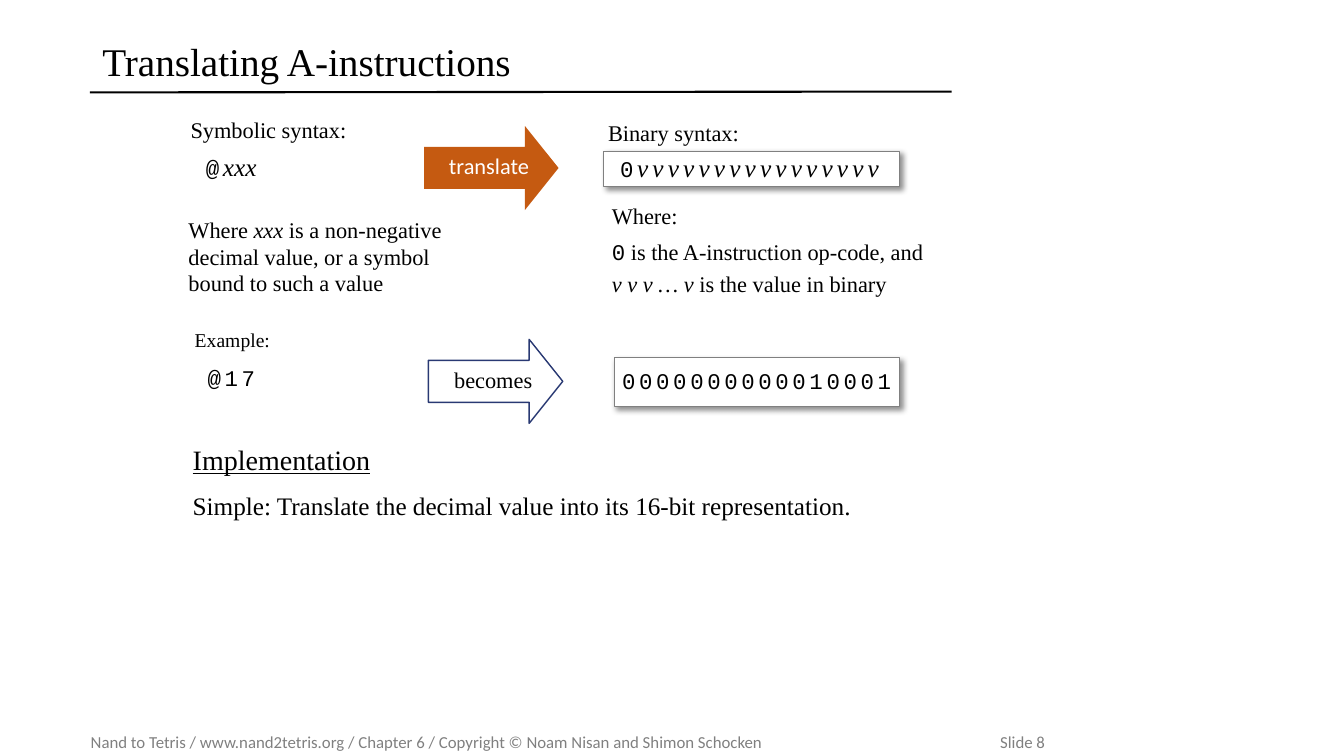
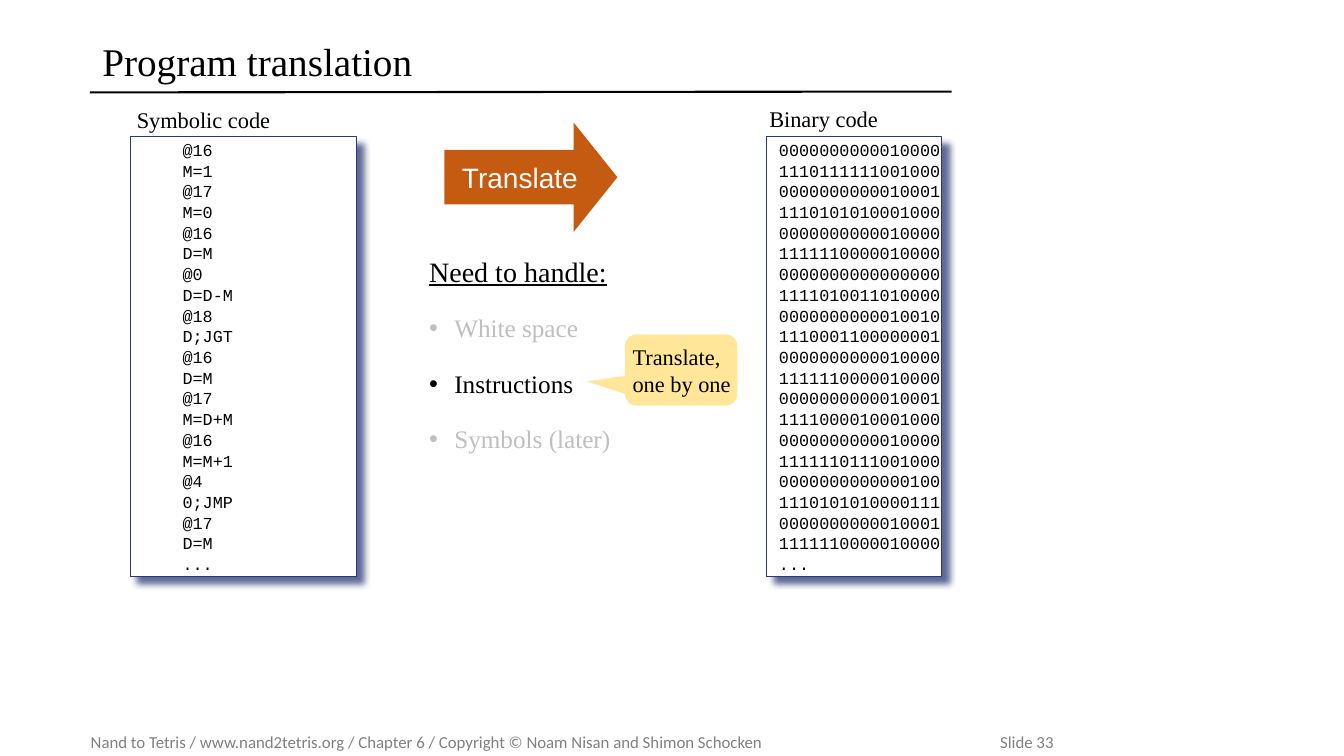
from lxml import etree
from pptx import Presentation
from pptx.dml.color import RGBColor
from pptx.enum.shapes import MSO_CONNECTOR, MSO_SHAPE
from pptx.enum.text import MSO_ANCHOR, PP_ALIGN
from pptx.oxml.ns import qn
from pptx.util import Emu, Inches, Pt

RECT = MSO_SHAPE.RECTANGLE
ARROW = MSO_SHAPE.RIGHT_ARROW
CALLOUT = MSO_SHAPE.ROUNDED_RECTANGULAR_CALLOUT
STRAIGHT = MSO_CONNECTOR.STRAIGHT
TOP, MIDDLE = MSO_ANCHOR.TOP, MSO_ANCHOR.MIDDLE
LEFT, CENTER = PP_ALIGN.LEFT, PP_ALIGN.CENTER

COLUMNS, ROWS = 160, 90
COLORS = {
    "ink": "000000", "paper": "FFFFFF", "footer": "808080", "frame": "808080",
    "faded": "BFBFBF", "action": "C55A11", "navy": "293973", "note": "FFE699",
}
SERIF, MONO, SANS, ARIAL = "Times New Roman", "Courier New", "Calibri", "Arial"
BODY = {"name": SERIF, "size": Pt(16), "color": "ink"}
TITLE = {**BODY, "size": Pt(28)}
HEADING = {**BODY, "size": Pt(20), "underline": True}
LARGE = {**BODY, "size": Pt(18)}
SMALL = {**BODY, "size": Pt(14)}
FOOTER = {"name": SANS, "size": Pt(12), "color": "footer"}
CODE = {"name": MONO, "size": Pt(12), "color": "ink"}
BITS = {"name": MONO, "size": Pt(16), "color": "ink", "spacing": 2.6}
ITALIC = {"italic": True}
VARIABLE = {"name": SERIF, "size": Pt(18), "italic": True}
ACTION = {"name": SANS, "size": Pt(16), "color": "paper"}

TIGHT = {"line_spacing": 0.9}
ARROW_LINE = {"line_spacing": Pt(16.2), "alignment": CENTER}
LISTING = {"line_spacing": 0.9, "space_before": Pt(1.85)}
INSET = (0.1, 0.05, 0.1, 0.05)
WIDE_INSET = (0.12, 0.05, 0.1, 0.05)
ARROW_INSET = (0.12, 0.05, 0, 0.05)
CELL_INSET = (0.16, 0.1, 0, 0.1)
SOFT_SHADOW = ("ink", 43, 4, 3)
DEEP_SHADOW = ("navy", 75, 5, 7.1)

CREDIT = ("Nand to Tetris / www.nand2tetris.org / Chapter 6 / "
          "Copyright © Noam Nisan and Shimon Schocken")

SYMBOLIC = """@16 M=1 @17 M=0 @16 D=M @0 D=D-M @18 D;JGT @16 D=M @17 M=D+M
@16 M=M+1 @4 0;JMP @17 D=M ...""".split()
BINARY = """0000000000010000 1110111111001000 0000000000010001 1110101010001000
0000000000010000 1111110000010000 0000000000000000 1111010011010000
0000000000010010 1110001100000001 0000000000010000 1111110000010000
0000000000010001 1111000010001000 0000000000010000 1111110111001000
0000000000000100 1110101010000111 0000000000010001 1111110000010000 ...""".split()


def rgb(color):
    return RGBColor.from_string(COLORS[color])


def apply(target, values):
    for name, value in values.items():
        setattr(target, name, value)


class Deck:
    def __init__(self):
        self.prs = Presentation()
        self.prs.slide_width, self.prs.slide_height = Inches(13.33), Inches(7.5)
        self.slide = None

    def grid(self, *lengths):
        cells = (self.prs.slide_width / COLUMNS, self.prs.slide_height / ROWS)
        return [Emu(round(length * cells[i % 2])) for i, length in enumerate(lengths)]

    def start(self, title, number):
        self.slide = self.prs.slides.add_slide(self.prs.slide_layouts[6])
        self.rule(10.7, 11, 113.3, 10.9)
        self.text((11, 3.8, 102.4, 7.6), [([title], TIGHT)], TITLE, anchor=MIDDLE)
        footer = self.text((10.8, 86.5, 147, 3.6), [([f"{CREDIT}\tSlide {number}"], {})],
                           FOOTER, (0, 0.05, 0, 0.05), MIDDLE)
        properties = footer.paragraphs[0]._p.get_or_add_pPr()
        tabs = etree.SubElement(properties, qn("a:tabLst"))
        etree.SubElement(tabs, qn("a:tab"), pos=str(Inches(9.02)), algn="l")

    def rule(self, *ends):
        line = self.slide.shapes.add_connector(STRAIGHT, *self.grid(*ends))
        line.line.color.rgb = rgb("ink")
        line.line.width = Pt(1.5)
        etree.SubElement(line._element.spPr, qn("a:effectLst"))

    def fill_text(self, frame, paragraphs, style, inset, anchor):
        left, top, right, bottom = map(Inches, inset)
        apply(frame, {"word_wrap": True, "vertical_anchor": anchor, "margin_left": left,
                      "margin_top": top, "margin_right": right, "margin_bottom": bottom})
        for i, (runs, layout) in enumerate(paragraphs):
            paragraph = frame.add_paragraph() if i else frame.paragraphs[0]
            apply(paragraph, {"alignment": LEFT, **layout})
            for part in runs:
                words, changes = (part, {}) if isinstance(part, str) else part
                self.add_words(paragraph, words, {**style, **changes})
        return frame

    def add_words(self, paragraph, words, style):
        run = paragraph.add_run()
        run.text = words
        apply(run.font, {k: v for k, v in style.items() if k not in ("color", "spacing")})
        run.font.color.rgb = rgb(style["color"])
        if "spacing" in style:
            run._r.get_or_add_rPr().set("spc", str(round(style["spacing"] * 100)))

    def text(self, place, paragraphs, style=BODY, inset=INSET, anchor=TOP):
        box = self.slide.shapes.add_textbox(*self.grid(*place))
        return self.fill_text(box.text_frame, paragraphs, style, inset, anchor)

    def label(self, place, words, style=BODY):
        self.text(place, [([words], {})], style)

    def shape(self, kind, place, paragraphs, style=BODY, inset=INSET, anchor=MIDDLE,
              fill=None, line=None, shadow=None, adjust=()):
        shape = self.slide.shapes.add_shape(kind, *self.grid(*place))
        shape.shadow.inherit = False
        for i, value in enumerate(adjust):
            shape.adjustments[i] = value
        if fill:
            shape.fill.solid()
            shape.fill.fore_color.rgb = rgb(fill)
        else:
            shape.fill.background()
        if line:
            color, width = line
            shape.line.color.rgb = rgb(color)
            shape.line.width = Pt(width)
        else:
            shape.line.fill.background()
        if shadow:
            self.shade(shape, *shadow)
        self.fill_text(shape.text_frame, paragraphs, style, inset, anchor)

    def shade(self, shape, color, opacity, blur, distance):
        effects = shape._element.spPr.find(qn("a:effectLst"))
        outer = etree.SubElement(effects, qn("a:outerShdw"), blurRad=str(Pt(blur)),
                                 dist=str(Pt(distance)), dir="2700000",
                                 algn="tl", rotWithShape="0")
        tint = etree.SubElement(outer, qn("a:srgbClr"), val=COLORS[color])
        etree.SubElement(tint, qn("a:alpha"), val=str(opacity * 1000))

    def arrow(self, place, words, style, inset=ARROW_INSET, layout=ARROW_LINE, **look):
        self.shape(ARROW, place, [([words], layout)], style, inset,
                   adjust=(0.5, 0.4), **look)

    def cell(self, place, runs, inset=CELL_INSET, layout=TIGHT, framed=False):
        look = {"line": ("frame", 0.75), "shadow": SOFT_SHADOW} if framed else {}
        self.shape(RECT, place, [(runs, layout)], BITS, inset, fill="paper", **look)

    def listing(self, place, lines, indent=""):
        paragraphs = [([indent + line], LISTING if i else TIGHT)
                      for i, line in enumerate(lines)]
        self.shape(RECT, place, paragraphs, CODE, ARROW_INSET, TOP, fill="paper",
                   line=("navy", 0.75), shadow=DEEP_SHADOW)

    def checklist(self, place, heading, items):
        paragraphs = [([heading], TIGHT)]
        paragraphs += [([(item, {**LARGE, "underline": False, "color": color})],
                        {**TIGHT, "space_before": Pt(20)}) for item, color in items]
        frame = self.text(place, paragraphs, HEADING)
        for paragraph in frame.paragraphs[1:]:
            properties = paragraph._p.get_or_add_pPr()
            properties.set("marL", str(Inches(0.25)))
            properties.set("indent", str(-Inches(0.25)))
            etree.SubElement(properties, qn("a:buFont"), typeface=ARIAL)
            etree.SubElement(properties, qn("a:buChar"), char="•")


def instructions_slide(deck):
    deck.start("Translating A-instructions", 8)
    deck.label((21.5, 13.2, 49.3, 5), "Symbolic syntax:")
    deck.cell((22.6, 17.9, 19.3, 4.2), ["@", ("xxx", {**VARIABLE, "spacing": 0})])
    deck.text((21, 25.1, 36, 18.7),
              [(["Where ", ("xxx", ITALIC), " is a non-negative decimal value, "
                 "or a symbol bound to such a value"], {})], inset=WIDE_INSET)
    deck.arrow((50.5, 15, 16, 10), "translate", ACTION, fill="action")
    deck.label((71.2, 13.6, 57.6, 5), "Binary syntax:")
    deck.cell((71.9, 18, 35.2, 4.2), ["0", ("v" * 16, {**VARIABLE, "spacing": 3})],
              framed=True)
    deck.text((71.4, 23.5, 49, 17.6), [
        (["Where:"], {}),
        ([("0", {"name": MONO}), " is the A-instruction op-code, and"],
         {"space_before": Pt(6)}),
        ([("v v v … v ", ITALIC), "is the value in binary"], {"space_before": Pt(4)}),
    ], inset=WIDE_INSET)
    deck.label((22, 38.5, 49.3, 5), "Example:", SMALL)
    deck.cell((22.8, 42.5, 19.3, 5.4), ["@17"])
    deck.arrow((51, 40.4, 16, 10), "becomes", BODY, line=("navy", 1))
    deck.cell((73.1, 42.6, 34, 5.8), ["0000000000010001"], (0.04, 0.1, 0.04, 0.1),
              {**TIGHT, "alignment": CENTER}, framed=True)
    deck.text((21.5, 52.1, 95, 11.8), [
        ([("Implementation", HEADING)], {}),
        (["Simple: Translate the decimal value into its 16-bit representation."],
         {"space_before": Pt(10.3)}),
    ], LARGE, WIDE_INSET)


def program_slide(deck):
    deck.start("Program translation", 33)
    deck.label((15.1, 12.1, 35.2, 5), "Symbolic code")
    deck.listing((15.5, 16.3, 26.9, 52.3), SYMBOLIC, indent="    ")
    deck.arrow((52.9, 14.6, 20.6, 13), "Translate",
               {**ACTION, "name": ARIAL, "size": Pt(20)}, INSET,
               {"alignment": CENTER}, fill="action")
    deck.checklist((49.9, 30.1, 38.5, 27.5), "Need to handle:", [
        ("White space", "faded"), ("Instructions", "ink"), ("Symbols (later)", "faded")])
    deck.shape(CALLOUT, (74.4, 39.8, 13.4, 8.5), [(["Translate, one by one"], {})],
               inset=(0.04, 0.05, 0, 0.05), fill="note", adjust=(-0.84, 0.16, 0.17))
    deck.label((90.4, 11.9, 21.7, 5), "Binary code")
    deck.listing((91.3, 16.3, 20.8, 52.3), BINARY)


def main():
    deck = Deck()
    instructions_slide(deck)
    program_slide(deck)
    deck.prs.save("out.pptx")


if __name__ == "__main__":
    main()
